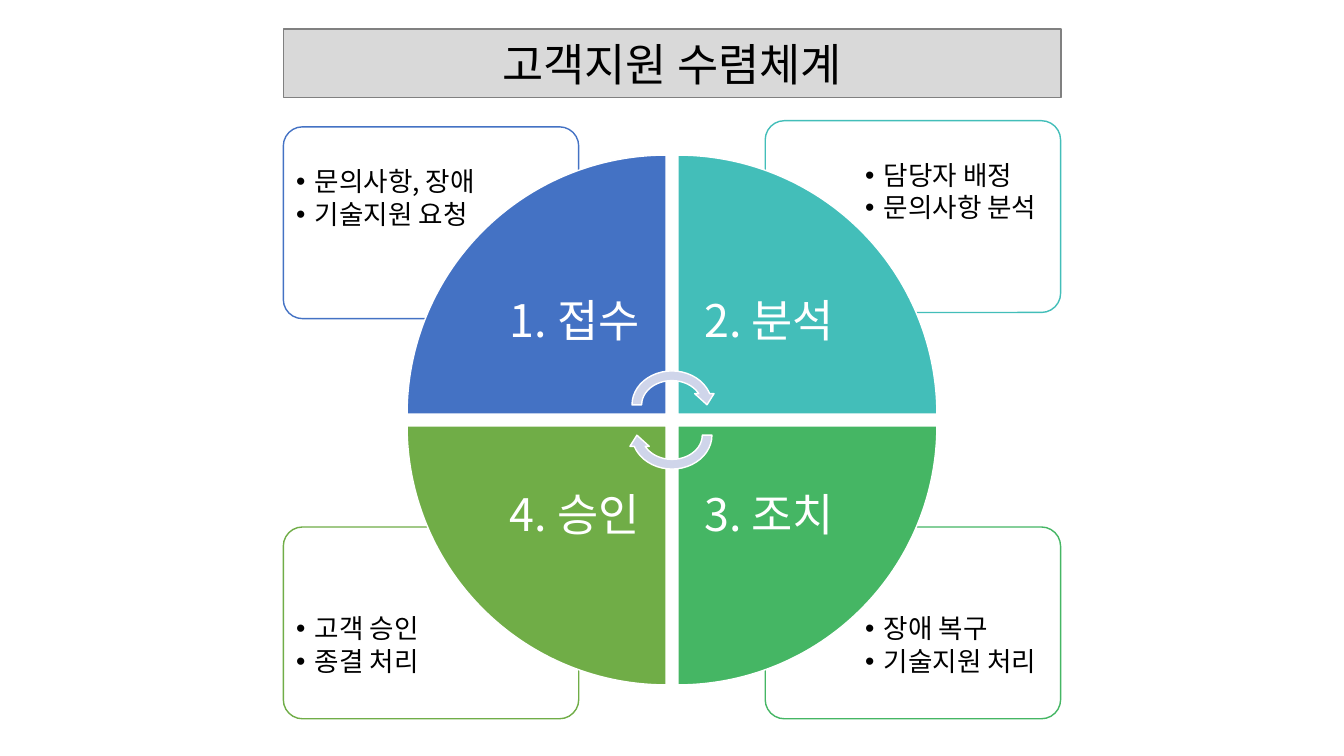
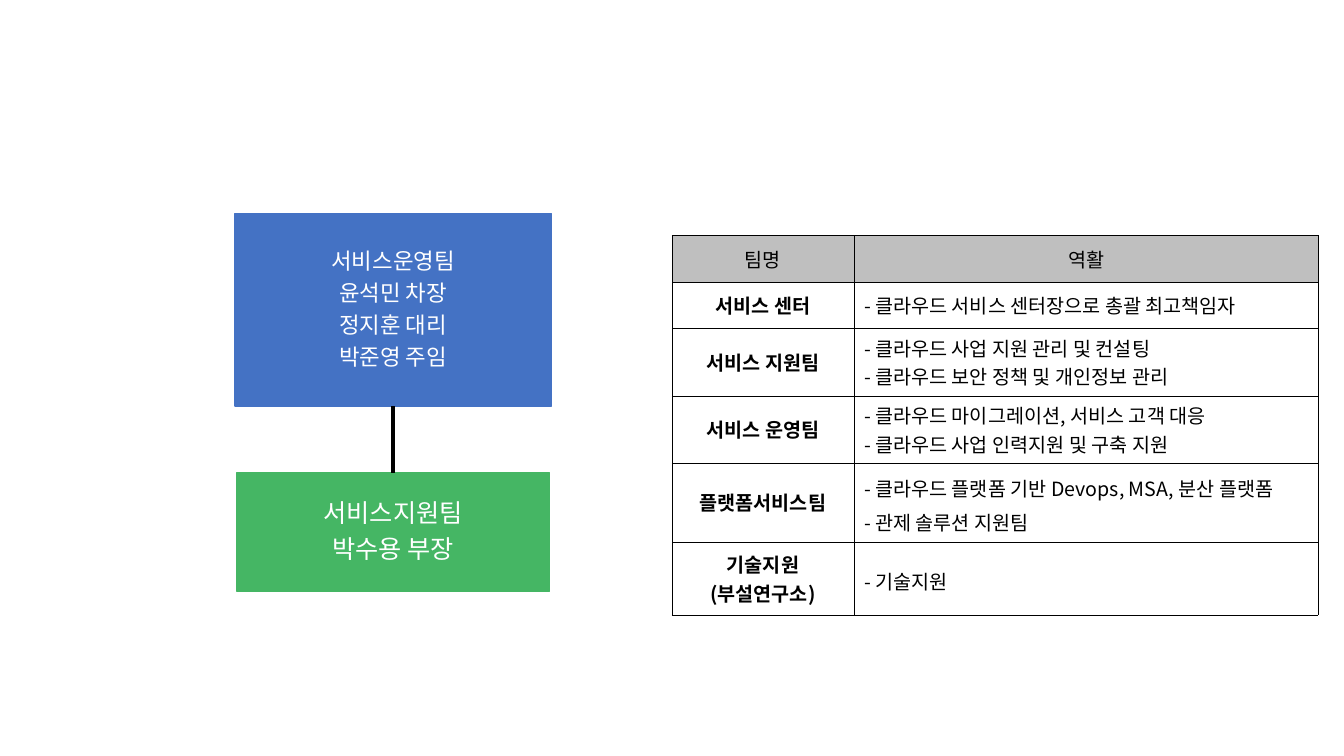
from dataclasses import dataclass

from lxml import etree
from pptx import Presentation
from pptx import util as u
from pptx.dml import color as dml
from pptx.enum import shapes, text
from pptx.oxml import ns
from pptx.shapes import autoshape
from pptx.slide import Slide
from pptx.table import _Cell as Cell
from pptx.text.text import TextFrame

FONT = "Noto Sans CJK KR"
COLORS = {
    "blue": "4472C4", "teal": "43BEB9", "green": "45B664", "lime": "70AD47",
    "arrow": "CFD5EA", "band": "D9D9D9", "band_line": "808080",
    "header": "BFBFBF", "black": "000000", "white": "FFFFFF",
}
SHAPE = shapes.MSO_SHAPE
LEFT, CENTER = text.PP_ALIGN.LEFT, text.PP_ALIGN.CENTER

# Cycle geometry, in points
HUB_X, HUB_Y, HUB_GAP = 480, 300, 8.4
WEDGE, LABEL = 185, 130.5
CARD_W, CARD_H = 211, 137
LIST_W, LIST_H, LIST_INSET = 142, 96.5, 3.4
ARROW_W, ARROW_H, ARROW_SHIFT = 64, 55.4, 10.8


@dataclass(frozen=True)
class Box:
    left: float
    top: float
    width: float
    height: float

    def lengths(self) -> tuple[u.Length, ...]:
        return tuple(u.Pt(v) for v in (self.left, self.top, self.width, self.height))


@dataclass(frozen=True)
class Stage:
    label: str
    color: str
    right: bool
    bottom: bool
    rotation: int
    card_left: float
    card_top: float
    tasks: tuple[str, ...]
    list_idx: int


@dataclass(frozen=True)
class Team:
    name: tuple[str, ...]
    roles: tuple[str, ...]
    height: float
    spacing: float = 1.0


STAGES = (
    Stage("1. 접수", "blue", False, False, 0, 202.4, 90.6,
          ("문의사항, 장애", "기술지원 요청"), 1),
    Stage("2. 분석", "teal", True, False, 90, 546.6, 86.2,
          ("담당자 배정", "문의사항 분석"), 2),
    Stage("3. 조치", "green", True, True, 180, 546.6, 376.4,
          ("장애 복구", "기술지원 처리"), 3),
    Stage("4. 승인", "lime", False, True, 270, 202.4, 376.4,
          ("고객 승인", "종결 처리"), 4),
)
TEAMS = (
    Team(("서비스 센터",), ("- 클라우드 서비스 센터장으로 총괄 최고책임자",), 33.2),
    Team(("서비스 지원팀",),
         ("- 클라우드 사업 지원 관리 및 컨설팅", "- 클라우드 보안 정책 및 개인정보 관리"), 46.8),
    Team(("서비스 운영팀",),
         ("- 클라우드 마이그레이션, 서비스 고객 대응", "- 클라우드 사업 인력지원 및 구축 지원"), 46.8),
    Team(("플랫폼서비스팀",),
         ("- 클라우드 플랫폼 기반 Devops, MSA, 분산 플랫폼", "- 관제 솔루션 지원팀"), 52.6, 1.2),
    Team(("기술지원", "(부설연구소)"), ("- 기술지원",), 52.6, 1.2),
)


def rgb(name: str) -> dml.RGBColor:
    return dml.RGBColor.from_string(COLORS[name])


def write_text(frame: TextFrame, lines: tuple[str, ...], *, size: float,
               color: str = "black", bold: bool = False,
               align: text.PP_ALIGN = CENTER, spacing: float = 1.0,
               after: float = 0, bullet: bool = False) -> None:
    """Write one paragraph per line; after is a share of the text size."""
    for i, line in enumerate(lines):
        paragraph = frame.paragraphs[0] if i == 0 else frame.add_paragraph()
        paragraph.alignment = align
        paragraph.line_spacing = spacing
        paragraph.space_before = u.Pt(0)
        paragraph.space_after = u.Pt(round(size * after, 2))
        if bullet:
            props = paragraph._p.get_or_add_pPr()
            props.set("marL", str(u.Pt(13.5)))
            props.set("indent", str(u.Pt(-13.5)))
            etree.SubElement(props, ns.qn("a:buChar"), char="•")
        run = paragraph.add_run()
        run.text = line
        run.font.name, run.font.size, run.font.bold = FONT, u.Pt(size), bold
        run.font.color.rgb = rgb(color)
        etree.SubElement(run.font._element, ns.qn("a:ea"), typeface=FONT)


def set_frame(frame: TextFrame, inset: float) -> None:
    frame.word_wrap = True
    frame.auto_size = text.MSO_AUTO_SIZE.NONE
    frame.vertical_anchor = text.MSO_ANCHOR.MIDDLE
    frame.margin_left = frame.margin_right = u.Pt(inset)
    frame.margin_top = frame.margin_bottom = u.Pt(inset)


def add_figure(slide: Slide, kind: shapes.MSO_SHAPE, box: Box, fill: str,
               line: str, rotation: float = 0) -> autoshape.Shape:
    figure = slide.shapes.add_shape(kind, *box.lengths())
    figure.shadow.inherit = False
    figure.fill.solid()
    figure.fill.fore_color.rgb = rgb(fill)
    figure.line.color.rgb = rgb(line)
    figure.line.width = u.Pt(1)
    figure.rotation = rotation
    return figure


def place_placeholder(slide: Slide, idx: int, box: Box, inset: float) -> autoshape.Shape:
    """Move a placeholder to a box and to the front."""
    holder = next(p for p in slide.placeholders if p.placeholder_format.idx == idx)
    holder.left, holder.top, holder.width, holder.height = box.lengths()
    slide.shapes._spTree.append(holder._element)
    set_frame(holder.text_frame, inset)
    return holder


def add_card(slide: Slide, stage: Stage) -> None:
    card = add_figure(slide, SHAPE.ROUNDED_RECTANGLE,
                      Box(stage.card_left, stage.card_top, CARD_W, CARD_H),
                      "white", stage.color)
    card.adjustments[0] = 0.1
    fill = card._element.spPr.find(ns.qn("a:solidFill"))
    etree.SubElement(fill[0], ns.qn("a:alpha"), val="90000")
    left = stage.card_left + (CARD_W - LIST_W - LIST_INSET if stage.right else LIST_INSET)
    top = stage.card_top + (CARD_H - LIST_H - LIST_INSET if stage.bottom else LIST_INSET)
    tasks = place_placeholder(slide, stage.list_idx, Box(left, top, LIST_W, LIST_H), 5.7)
    write_text(tasks.text_frame, stage.tasks, size=19, align=LEFT,
               spacing=0.9, after=0.15, bullet=True)


def quadrant(stage: Stage, side: float) -> Box:
    """Square of the given side in the stage's quadrant, next to the hub."""
    def start(hub: float, beyond: bool) -> float:
        return hub + HUB_GAP / 2 if beyond else hub - HUB_GAP / 2 - side
    return Box(start(HUB_X, stage.right), start(HUB_Y, stage.bottom), side, side)


def add_wedge(slide: Slide, stage: Stage) -> None:
    add_figure(slide, SHAPE.PIE_WEDGE, quadrant(stage, WEDGE), stage.color,
               "white", stage.rotation)
    label = slide.shapes.add_textbox(*quadrant(stage, LABEL).lengths()).text_frame
    set_frame(label, 18)
    write_text(label, (stage.label,), size=32, color="white", spacing=0.9, after=0.35)


def build_cycle(slide: Slide) -> None:
    for stage in reversed(STAGES):
        add_card(slide, stage)
    for stage in STAGES:
        add_wedge(slide, stage)
    for shift, rotation in ((-ARROW_SHIFT, 0), (ARROW_SHIFT, 180)):
        box = Box(HUB_X - ARROW_W / 2, HUB_Y + shift - ARROW_H / 2, ARROW_W, ARROW_H)
        add_figure(slide, SHAPE.CIRCULAR_ARROW, box, "arrow", "white", rotation)
    title = place_placeholder(slide, 0, Box(202.4, 20.6, 555.6, 49), 3.6)
    title.fill.solid()
    title.fill.fore_color.rgb = rgb("band")
    title.line.color.rgb = rgb("band_line")
    title.line.width = u.Pt(1)
    write_text(title.text_frame, ("고객지원 수렴체계",), size=32)


def add_team_box(slide: Slide, box: Box, color: str, size: float,
                 members: tuple[str, ...]) -> autoshape.Shape:
    team = add_figure(slide, SHAPE.RECTANGLE, box, color, color)
    set_frame(team.text_frame, 0.8)
    write_text(team.text_frame, members, size=size, color="white",
               spacing=0.9, after=0.35)
    return team


def build_team_chart(slide: Slide) -> None:
    operations = add_team_box(slide, Box(167.8, 152.6, 226, 137.6), "blue", 16,
                              ("서비스운영팀", "윤석민 차장", "정지훈 대리", "박준영 주임"))
    support = add_team_box(slide, Box(169.3, 337.6, 223, 85), "green", 18,
                           ("서비스지원팀", "박수용 부장"))
    link = slide.shapes.add_connector(shapes.MSO_CONNECTOR.STRAIGHT, 0, 0, 0, 0)
    link.begin_connect(operations, 2)
    link.end_connect(support, 0)
    link.line.color.rgb = rgb("black")
    link.line.width = u.Pt(3)
    etree.SubElement(link._element.spPr, ns.qn("a:effectLst"))


def fill_cell(cell: Cell, lines: tuple[str, ...], *, header: bool = False,
              bold: bool = False, align: text.PP_ALIGN = CENTER,
              spacing: float = 1.0) -> None:
    props = cell._tc.get_or_add_tcPr()
    for side in ("lnL", "lnR", "lnT", "lnB"):
        border = etree.SubElement(props, ns.qn(f"a:{side}"), w=str(u.Pt(0.25)))
        ink = etree.SubElement(border, ns.qn("a:solidFill"))
        etree.SubElement(ink, ns.qn("a:srgbClr"), val=COLORS["black"])
    if header:
        cell.fill.solid()
        cell.fill.fore_color.rgb = rgb("header")
    else:
        cell.fill.background()
    cell.vertical_anchor = text.MSO_ANCHOR.MIDDLE
    write_text(cell.text_frame, lines, size=14, bold=bold, align=align, spacing=spacing)


def build_role_table(slide: Slide) -> None:
    heights = [33.2, *(team.height for team in TEAMS)]
    box = Box(480, 168.2, 461.6, sum(heights))
    table = slide.shapes.add_table(len(heights), 2, *box.lengths()).table
    table.first_row = table.horz_banding = False
    for column, width in zip(table.columns, (130, 331.6)):
        column.width = u.Pt(width)
    for row, height in zip(table.rows, heights):
        row.height = u.Pt(height)
    for col, heading in enumerate(("팀명", "역활")):
        fill_cell(table.cell(0, col), (heading,), header=True)
    for row, team in enumerate(TEAMS, start=1):
        fill_cell(table.cell(row, 0), team.name, bold=True)
        fill_cell(table.cell(row, 1), team.roles, align=LEFT, spacing=team.spacing)


def main() -> None:
    deck = Presentation()
    deck.slide_width, deck.slide_height = u.Pt(960), u.Pt(540)
    comparison = deck.slide_layouts.get_by_name("Comparison")
    blank = deck.slide_layouts.get_by_name("Blank")
    build_cycle(deck.slides.add_slide(comparison))
    team_slide = deck.slides.add_slide(blank)
    build_role_table(team_slide)
    build_team_chart(team_slide)
    deck.save("out.pptx")


if __name__ == "__main__":
    main()
